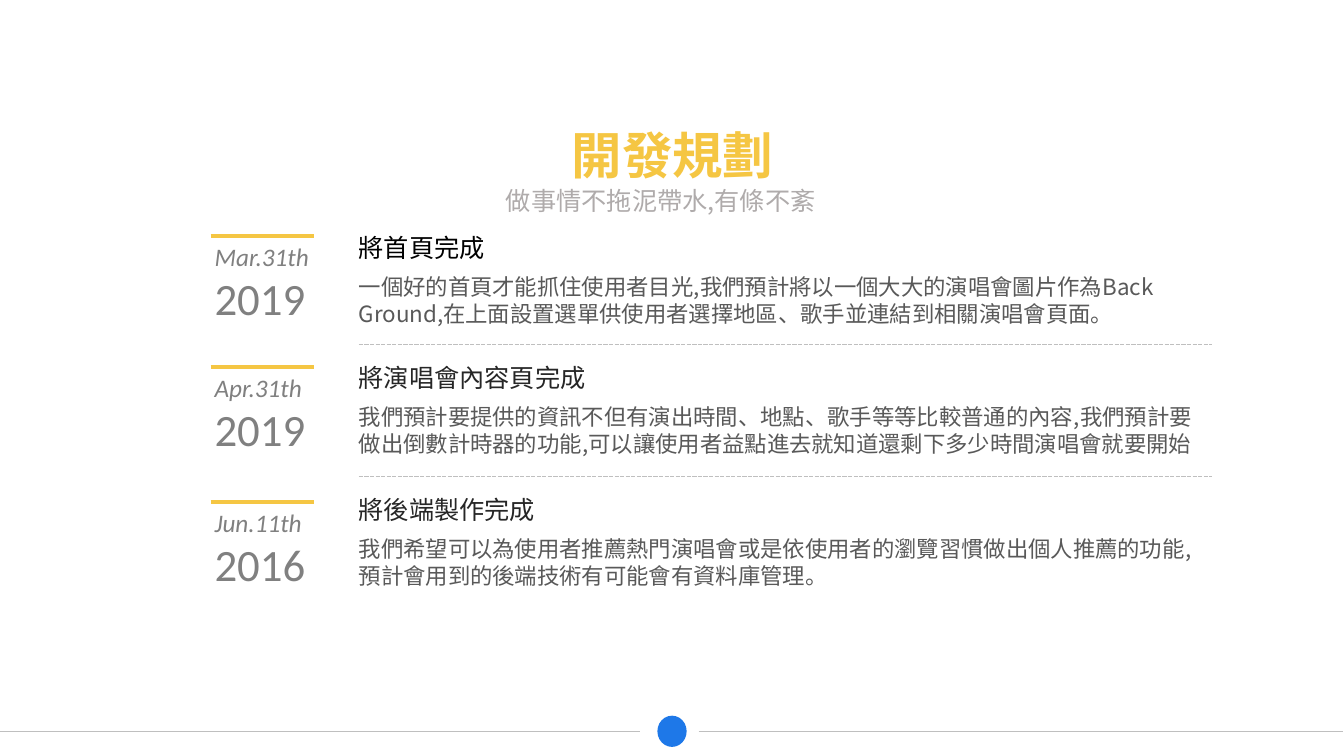
from dataclasses import dataclass

from lxml.etree import SubElement
from pptx import Presentation
from pptx.dml.color import RGBColor
from pptx.enum.dml import MSO_LINE
from pptx.enum.shapes import MSO_CONNECTOR, MSO_SHAPE
from pptx.enum.text import MSO_AUTO_SIZE, PP_ALIGN
from pptx.oxml.ns import qn
from pptx.util import Inches, Pt


@dataclass(frozen=True)
class Theme:
    latin: str = "Calibri"
    heading_font: str = "Noto Sans CJK TC"
    body_font: str = "Noto Sans CJK SC"
    accent: str = "F5C643"
    subtitle: str = "AFABAB"
    date: str = "808080"
    first_heading: str = "000000"
    heading: str = "262626"
    body: str = "595959"
    rule: str = "BFBFBF"
    badge: str = "1E78E8"
    title_size: int = 36
    year_size: int = 32
    heading_size: int = 18
    body_size: int = 16


THEME = Theme()
TITLE = "開發規劃"
SUBTITLE = "做事情不拖泥帶水,有條不紊".replace(",", ",")
MILESTONES = [
    {
        "day": "Mar.31th", "year": "2019", "heading": "將首頁完成",
        "body": "一個好的首頁才能抓住使用者目光,我們預計將以一個大大的演唱會圖片作為Back Ground"
                ",在上面設置選單供使用者選擇地區、歌手並連結到相關演唱會頁面。",
        "color": THEME.first_heading, "top": 2.26, "bar_top": 2.34, "heading_width": 1.46,
    },
    {
        "day": "Apr.31th", "year": "2019", "heading": "將演唱會內容頁完成",
        "body": "我們預計要提供的資訊不但有演出時間、地點、歌手等等比較普通的內容,我們預計要"
                "做出倒數計時器的功能,可以讓使用者益點進去就知道還剩下多少時間演唱會就要開始",
        "color": THEME.heading, "top": 3.55, "bar_top": 3.64, "heading_width": 2.47,
    },
    {
        "day": "Jun.11th", "year": "2016", "heading": "將後端製作完成",
        "body": "我們希望可以為使用者推薦熱門演唱會或是依使用者的瀏覽習慣做出個人推薦的功能,"
                "預計會用到的後端技術有可能會有資料庫管理。",
        "color": THEME.heading, "top": 4.86, "bar_top": 4.98, "heading_width": 1.97,
    },
]
DATE_LEFT, BAR_LEFT, BAR_WIDTH = 2.03, 2.09, 1.02
COLUMN_LEFT, BODY_WIDTH, BODY_OFFSET = 3.46, 8.67, 0.4
DIVIDER_LEFT, DIVIDER_RIGHT, DIVIDER_GAP = 3.56, 12.02, 0.13
FOOTER_Y = 7.26
FOOTER_SPANS = [(0, 6.35), (6.93, 13.32)]

presentation = Presentation()
presentation.slide_width, presentation.slide_height = Inches(13.33), Inches(7.5)
slide = presentation.slides.add_slide(presentation.slide_layouts[6])


def add_text(left, top, width, height, lines, font, color, wrap=False):
    frame = slide.shapes.add_textbox(*map(Inches, (left, top, width, height))).text_frame
    frame.text = "\n".join(text for text, size in lines)
    frame.word_wrap = wrap
    frame.auto_size = MSO_AUTO_SIZE.SHAPE_TO_FIT_TEXT
    for paragraph, (text, size) in zip(frame.paragraphs, lines):
        for run in paragraph.runs:
            run.font.name = font
            run.font.size = Pt(size)
            run.font.color.rgb = RGBColor.from_string(color)
            SubElement(run.font._element, qn("a:ea"), typeface=font)
    return frame.paragraphs


def add_rule(left, right, y, color, weight=1, dash=None):
    rule = slide.shapes.add_connector(
        MSO_CONNECTOR.STRAIGHT, *map(Inches, (left, y, right, y)))
    rule.line.color.rgb = RGBColor.from_string(color)
    rule.line.width = Pt(weight)
    if dash:
        rule.line.dash_style = dash
    SubElement(rule._element.spPr, qn("a:effectLst"))


title = add_text(5.56, 0.88, 2.22, 0.9, [(TITLE, THEME.title_size)],
                 THEME.heading_font, THEME.accent)[0]
title.alignment = PP_ALIGN.CENTER
title.line_spacing = 1.5
title.runs[0].font.bold = True
add_text(4.92, 1.79, 3.48, 0.4, [(SUBTITLE, THEME.heading_size)],
         THEME.heading_font, THEME.subtitle)

for index, milestone in enumerate(MILESTONES):
    top, bar_top = milestone["top"], milestone["bar_top"]
    add_rule(BAR_LEFT, BAR_LEFT + BAR_WIDTH, bar_top, THEME.accent, 2.5)
    day = add_text(DATE_LEFT, bar_top, 1.14, 0.94,
                   [(milestone["day"], THEME.heading_size), (milestone["year"], THEME.year_size)],
                   THEME.latin, THEME.date)[0]
    day.runs[0].font.italic = True
    add_text(COLUMN_LEFT, top, milestone["heading_width"], 0.4,
             [(milestone["heading"], THEME.heading_size)], THEME.body_font, milestone["color"])
    add_text(COLUMN_LEFT, top + BODY_OFFSET, BODY_WIDTH, 0.64,
             [(milestone["body"], THEME.body_size)], THEME.body_font, THEME.body, wrap=True)
    if index:
        add_rule(DIVIDER_LEFT, DIVIDER_RIGHT, top - DIVIDER_GAP, THEME.rule,
                 dash=MSO_LINE.SQUARE_DOT)

for left, right in FOOTER_SPANS:
    add_rule(left, right, FOOTER_Y, THEME.rule)

badge = slide.shapes.add_shape(MSO_SHAPE.OVAL, *map(Inches, (6.52, 7.1, 0.29, 0.31)))
badge.shadow.inherit = False
badge.fill.solid()
badge.fill.fore_color.rgb = RGBColor.from_string(THEME.badge)
badge.line.fill.background()

presentation.save("out.pptx")
